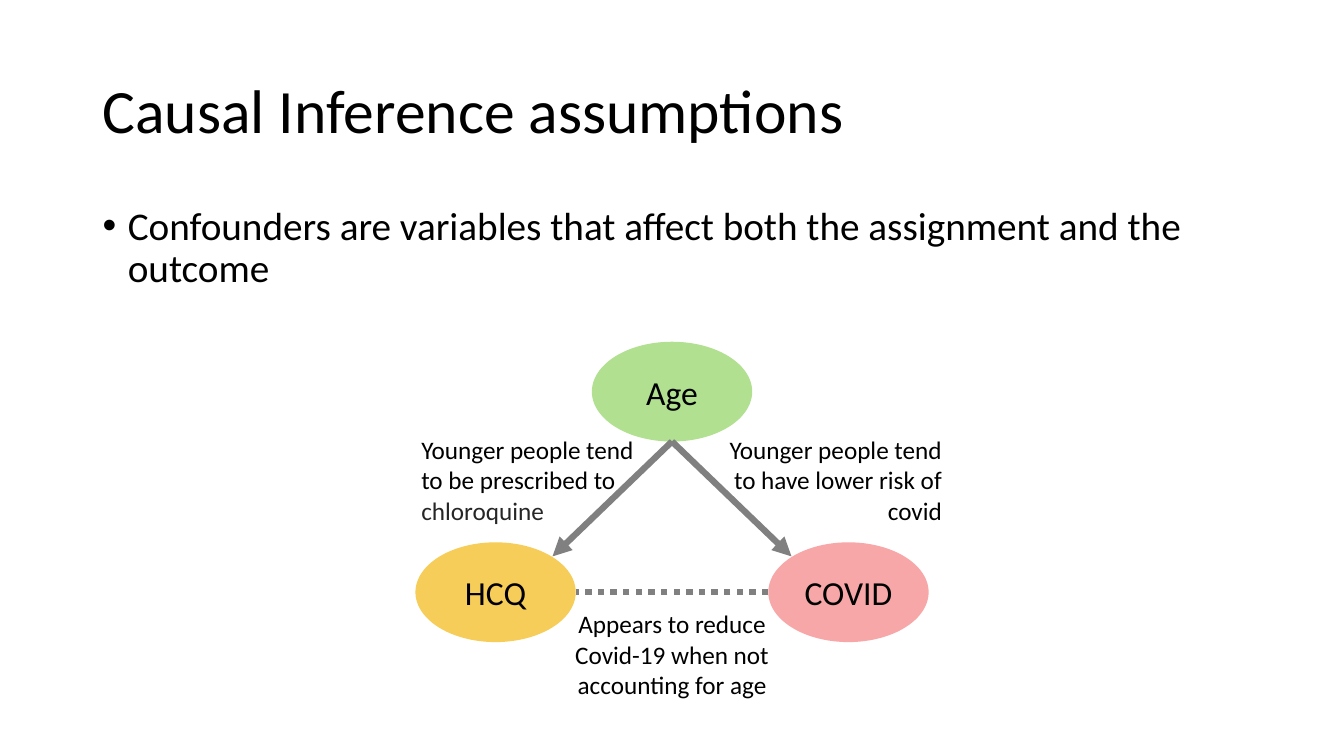
from lxml import etree
from pptx import Presentation
from pptx.dml.color import RGBColor
from pptx.enum.dml import MSO_LINE_DASH_STYLE as DASH
from pptx.enum.shapes import MSO_CONNECTOR as CONNECTOR, MSO_SHAPE as SHAPE
from pptx.enum.text import MSO_ANCHOR as ANCHOR, PP_ALIGN as ALIGN
from pptx.oxml.ns import qn
from pptx.util import Inches, Pt

BLACK = RGBColor(0x00, 0x00, 0x00)
DARK_GRAY = RGBColor(0x26, 0x26, 0x26)
GRAY = RGBColor(0x80, 0x80, 0x80)
YELLOW = RGBColor(0xF7, 0xCD, 0x59)
PINK = RGBColor(0xF7, 0xA7, 0xA7)
GREEN = RGBColor(0xB0, 0xE0, 0x90)
FONT = "Calibri"
NODE_W, NODE_H = 1.59, 0.99
NOTE_W, NOTE_H = 2.38, 1.01


def write(paragraph, text, size, color=BLACK):
    run = paragraph.add_run()
    run.text = text
    run.font.name = FONT
    run.font.size = Pt(size)
    run.font.color.rgb = color


def add_text(slide, box, runs, size, align=ALIGN.LEFT, anchor=ANCHOR.TOP):
    """Place a wrapping text box and return its paragraph."""
    frame = slide.shapes.add_textbox(*map(Inches, box)).text_frame
    frame.word_wrap = True
    frame.vertical_anchor = anchor
    paragraph = frame.paragraphs[0]
    paragraph.alignment = align
    for text, color in runs:
        write(paragraph, text, size, color)
    return paragraph


def add_title(slide, box):
    title = add_text(slide, box, [("Causal Inference assumptions", BLACK)], 44,
                     anchor=ANCHOR.MIDDLE)
    title.line_spacing = 0.9


def add_definition(slide, box):
    definition = add_text(slide, box, [(
        "Confounders are variables that affect both the assignment and the outcome",
        BLACK)], 28)
    definition.line_spacing = 0.9
    definition.space_before = Pt(10)
    # Hanging bullet
    properties = definition._p.get_or_add_pPr()
    properties.set("marL", str(Inches(0.25)))
    properties.set("indent", str(-Inches(0.25)))
    etree.SubElement(properties, qn("a:buFont")).set("typeface", "Arial")
    etree.SubElement(properties, qn("a:buChar")).set("char", "•")


def add_node(slide, left, top, label, color):
    node = slide.shapes.add_shape(SHAPE.OVAL, *map(Inches, (left, top, NODE_W, NODE_H)))
    node.shadow.inherit = False
    node.fill.solid()
    node.fill.fore_color.rgb = color
    node.line.fill.background()
    node.text_frame.vertical_anchor = ANCHOR.MIDDLE
    paragraph = node.text_frame.paragraphs[0]
    paragraph.alignment = ALIGN.CENTER
    write(paragraph, label, 24)


def add_link(slide, start, end, dotted=False):
    link = slide.shapes.add_connector(CONNECTOR.STRAIGHT, *map(Inches, start + end))
    link.line.color.rgb = GRAY
    link.line.width = Pt(4.5)
    if dotted:
        link.line.dash_style = DASH.ROUND_DOT
        link.line._ln.find(qn("a:prstDash")).set("val", "sysDot")
    else:
        etree.SubElement(link.line._ln, qn("a:tailEnd")).set("type", "triangle")
    etree.SubElement(link._element.spPr, qn("a:effectLst"))


def add_confounder_diagram(slide, box):
    left, top, width, height = box
    center = left + width / 2
    right_node = left + width - NODE_W
    lower_top = top + height - NODE_H
    lower_middle = lower_top + NODE_H / 2

    # Variables
    add_node(slide, left, lower_top, "HCQ", YELLOW)
    add_node(slide, right_node, lower_top, "COVID", PINK)
    add_node(slide, center - NODE_W / 2, top, "Age", GREEN)

    # Effects of age, and the apparent association
    age_bottom = (center, top + NODE_H)
    for side in (-1, 1):
        add_link(slide, age_bottom, (center + side * 1.185, lower_top + 0.14))
    add_link(slide, (right_node, lower_middle), (left + NODE_W, lower_middle), dotted=True)

    # Explanations
    note_top = top + 0.87
    add_text(slide, (left - 0.04, note_top, NOTE_W, NOTE_H),
             [("Younger people tend to be prescribed to ", BLACK),
              ("chloroquine", DARK_GRAY)], 18)
    add_text(slide, (left + 2.94, note_top, NOTE_W, NOTE_H),
             [("Younger people tend to have lower risk of covid", BLACK)],
             18, ALIGN.RIGHT)
    add_text(slide, (center - NOTE_W / 2, lower_top + 0.61, NOTE_W, NOTE_H),
             [("Appears to reduce Covid-19 when not accounting for age", BLACK)],
             18, ALIGN.CENTER)


def main():
    deck = Presentation()
    deck.slide_width, deck.slide_height = Inches(13.33), Inches(7.5)
    slide = deck.slides.add_slide(deck.slide_layouts[6])
    add_title(slide, (0.92, 0.4, 11.5, 1.45))
    add_definition(slide, (0.92, 2, 11.5, 4.76))
    add_confounder_diagram(slide, (4.12, 3.39, 5.09, 2.98))
    deck.save("out.pptx")


if __name__ == "__main__":
    main()
